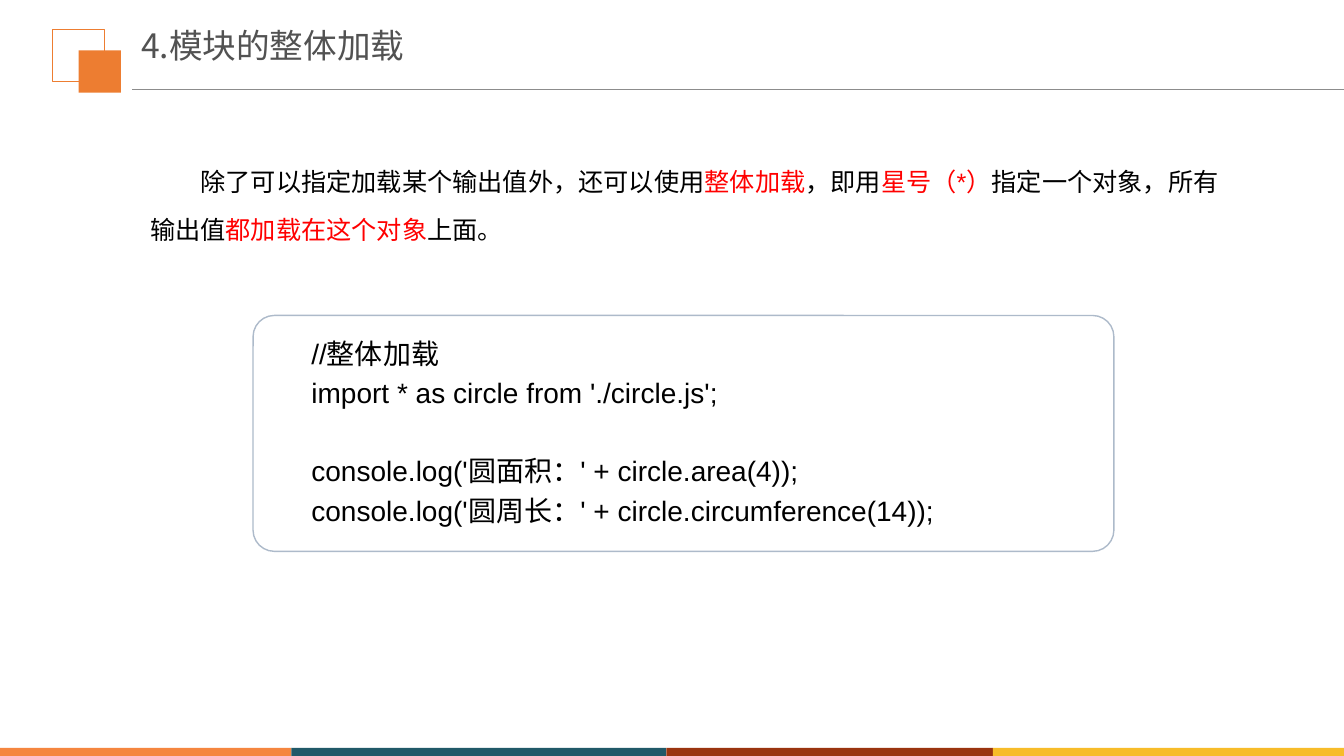
import pptx
import pptx.dml.color
import pptx.enum.shapes
import pptx.enum.text
import pptx.oxml.ns
import pptx.util
from lxml import etree

RGBColor = pptx.dml.color.RGBColor
MSO_SHAPE = pptx.enum.shapes.MSO_SHAPE
Pt = pptx.util.Pt

ORANGE = RGBColor(0xED, 0x7D, 0x31)
RULE_GRAY = RGBColor(0x8C, 0x8C, 0x8C)
TITLE_GRAY = RGBColor(0x52, 0x52, 0x52)
PANEL_BLUE = RGBColor(0xAD, 0xBA, 0xCA)
BLACK = RGBColor(0, 0, 0)
RED = RGBColor(0xFF, 0, 0)
# Left edge in percent of the slide width, and fill
FOOTER_BANDS = [
    (0, RGBColor(0xF5, 0x86, 0x3F)),
    (21.68, RGBColor(0x21, 0x59, 0x68)),
    (49.58, RGBColor(0x9A, 0x34, 0x0F)),
    (73.88, RGBColor(0xF7, 0xBC, 0x29)),
]
FOOTER_TOP = 98.93

LATIN_FONT = "Arial"
CHINESE_FONT = "Noto Sans CJK SC"
SLIDE_WIDTH = pptx.util.Inches(13.33)
SLIDE_HEIGHT = pptx.util.Inches(7.5)

EXPLANATION = [
    ("除了可以指定加载某个输出值外，还可以使用", BLACK),
    ("整体加载", RED),
    ("，即用", BLACK),
    ("星号（*）", RED),
    ("指定一个对象，所有输出值", BLACK),
    ("都加载在这个对象", RED),
    ("上面。", BLACK),
]
CODE_BLOCKS = [
    ["//整体加载", "import * as circle from './circle.js';"],
    ["console.log('圆面积：' + circle.area(4));",
     "console.log('圆周长：' + circle.circumference(14));"],
]
CODE_LINE_HEIGHT = Pt(28)


def across(percent):
    return round(SLIDE_WIDTH * percent / 100)


def down(percent):
    return round(SLIDE_HEIGHT * percent / 100)


def area(left, top, width, height):
    """Turn percentages of the slide into lengths."""
    return across(left), down(top), across(width), down(height)


def add_box(slide, kind, place, fill=None, line=None, line_width=0.75):
    shape = slide.shapes.add_shape(kind, *area(*place))
    shape.shadow.inherit = False
    if fill is None:
        shape.fill.background()
    else:
        shape.fill.solid()
        shape.fill.fore_color.rgb = fill
    if line is None:
        shape.line.fill.background()
    else:
        shape.line.color.rgb = line
        shape.line.width = Pt(line_width)
    return shape


def add_rule(slide, left, right, height):
    rule = slide.shapes.add_connector(
        pptx.enum.shapes.MSO_CONNECTOR.STRAIGHT,
        across(left), down(height), across(right), down(height))
    rule.line.color.rgb = RULE_GRAY
    rule.line.width = Pt(0.75)
    etree.SubElement(rule._element.spPr, pptx.oxml.ns.qn("a:effectLst"))


def add_run(paragraph, text, size, color, latin=LATIN_FONT):
    run = paragraph.add_run()
    run.text = text
    run.font.size = Pt(size)
    run.font.name = latin
    run.font.color.rgb = color
    east_asian = etree.Element(pptx.oxml.ns.qn("a:ea"), typeface=CHINESE_FONT)
    run.font._element.find(pptx.oxml.ns.qn("a:latin")).addnext(east_asian)


def add_text_frame(slide, place):
    frame = slide.shapes.add_textbox(*area(*place)).text_frame
    frame.word_wrap = True
    frame.auto_size = pptx.enum.text.MSO_AUTO_SIZE.SHAPE_TO_FIT_TEXT
    return frame


def fill_title(slide, text):
    title = slide.shapes.title
    title.left, title.top, title.width, title.height = area(9.75, 3.87, 39.68, 7.73)
    frame = title.text_frame
    frame.vertical_anchor = pptx.enum.text.MSO_ANCHOR.TOP
    frame.auto_size = pptx.enum.text.MSO_AUTO_SIZE.NONE
    frame.margin_top = 0
    paragraph = frame.paragraphs[0]
    paragraph.alignment = pptx.enum.text.PP_ALIGN.LEFT
    paragraph.line_spacing = 0.9
    add_run(paragraph, text, 24, TITLE_GRAY, CHINESE_FONT)


def add_explanation(slide):
    paragraph = add_text_frame(slide, (10.43, 19.07, 82.13, 14)).paragraphs[0]
    paragraph.line_spacing = Pt(34)
    paragraph._p.get_or_add_pPr().set("indent", str(pptx.util.Inches(0.5)))
    for text, color in EXPLANATION:
        add_run(paragraph, text, 18, color)


def add_code(slide):
    panel = add_box(slide, MSO_SHAPE.ROUNDED_RECTANGLE,
                    (18.83, 41.73, 64.05, 31.2), line=PANEL_BLUE, line_width=1)
    panel.adjustments[0] = 0.09
    frame = add_text_frame(slide, (22.43, 43.07, 53.33, 27.47))
    paragraph = frame.paragraphs[0]
    for block_number, block in enumerate(CODE_BLOCKS):
        for line_number, text in enumerate(block):
            if block_number or line_number:
                paragraph = frame.add_paragraph()
            paragraph.line_spacing = CODE_LINE_HEIGHT
            if block_number and not line_number:
                paragraph.space_before = CODE_LINE_HEIGHT
            add_run(paragraph, text, 20, BLACK)


def add_footer(slide):
    edges = [left for left, _ in FOOTER_BANDS[1:]] + [100]
    for (left, color), right in zip(FOOTER_BANDS, edges):
        add_box(slide, MSO_SHAPE.RECTANGLE,
                (left, FOOTER_TOP, right - left, 100 - FOOTER_TOP), fill=color)


def main():
    presentation = pptx.Presentation()
    presentation.slide_width = SLIDE_WIDTH
    presentation.slide_height = SLIDE_HEIGHT
    title_only = presentation.slide_layouts[5]
    slide = presentation.slides.add_slide(title_only)

    add_box(slide, MSO_SHAPE.RECTANGLE, (3.9, 3.87, 3.9, 6.93), line=ORANGE)
    add_box(slide, MSO_SHAPE.RECTANGLE, (5.85, 6.67, 3.15, 5.6), fill=ORANGE)
    add_rule(slide, 9.83, 100, 11.87)
    add_footer(slide)
    fill_title(slide, "4.模块的整体加载")
    add_explanation(slide)
    add_code(slide)
    presentation.save("out.pptx")


if __name__ == "__main__":
    main()
